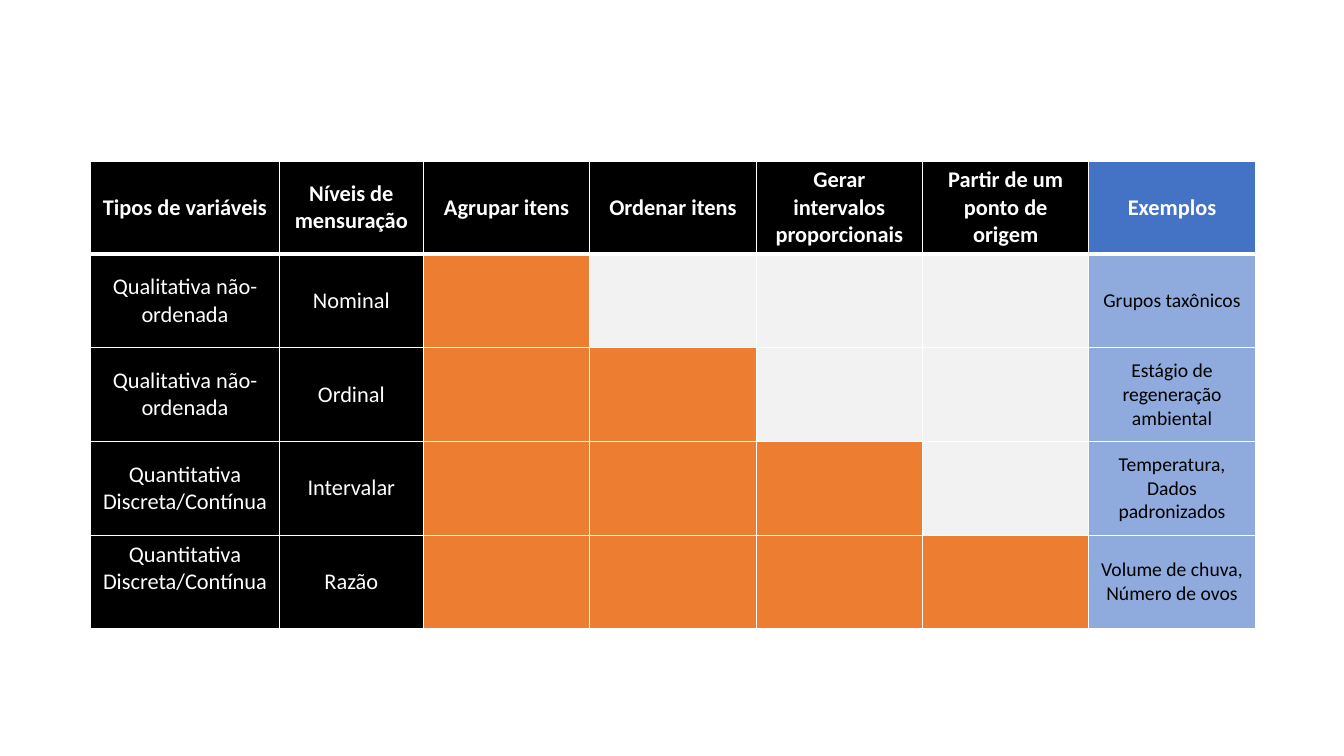
from dataclasses import dataclass

from lxml.etree import SubElement
from pptx import Presentation
from pptx.dml.color import RGBColor as Rgb
from pptx.enum.text import MSO_ANCHOR as Anchor, PP_ALIGN as Align
from pptx.oxml.ns import qn
from pptx.table import _Cell as Cell
from pptx.util import Inches, Pt


@dataclass(frozen=True)
class Theme:
    font: str = "Calibri"
    label_size: int = 16
    example_size: int = 14
    white: str = "FFFFFF"
    black: str = "000000"
    allowed: str = "ED7D31"
    not_allowed: str = "F2F2F2"
    example_header: str = "4472C4"
    example_fill: str = "8FAADC"
    thin_border: int = 1
    header_border: int = 3


@dataclass(frozen=True)
class Level:
    variable: str
    name: str
    example: str
    bottom_margin: float = 0.05


THEME = Theme()
HEADERS = [
    "Tipos de variáveis",
    "Níveis de mensuração",
    "Agrupar itens",
    "Ordenar itens",
    "Gerar intervalos proporcionais",
    "Partir de um ponto de origem",
    "Exemplos",
]
LEVELS = [
    Level("Qualitativa não-ordenada", "Nominal", "Grupos taxônicos"),
    Level("Qualitativa não-ordenada", "Ordinal", "Estágio de regeneração ambiental"),
    Level("Quantitativa Discreta/Contínua", "Intervalar", "Temperatura, Dados padronizados"),
    Level("Quantitativa Discreta/Contínua", "Razão", "Volume de chuva, Número de ovos", 0.32),
]
COLUMN_WIDTHS = [1.87, 1.43] + [1.65] * 5
ROW_HEIGHTS = [0.92] + [0.93] * len(LEVELS)
FIRST_OPERATION, EXAMPLE_COLUMN = 2, len(HEADERS) - 1


def paint_cell(cell: Cell, fill: str, top: int, bottom: int) -> None:
    properties = cell._tc.get_or_add_tcPr()
    side_widths = {"L": THEME.thin_border, "R": THEME.thin_border, "T": top, "B": bottom}
    for side, width in side_widths.items():
        border = SubElement(properties, qn(f"a:ln{side}"), w=str(Pt(width)))
        border_fill = SubElement(border, qn("a:solidFill"))
        SubElement(border_fill, qn("a:srgbClr"), val=THEME.white)
    cell.fill.solid()
    cell.fill.fore_color.rgb = Rgb.from_string(fill)


def write_cell(cell: Cell, text: str, size: int, color: str, bold: bool = False) -> None:
    cell.vertical_anchor = Anchor.MIDDLE
    paragraph = cell.text_frame.paragraphs[0]
    paragraph.alignment = Align.CENTER
    run = paragraph.add_run()
    run.text = text
    run.font.name = THEME.font
    run.font.size = Pt(size)
    run.font.bold = bold
    run.font.color.rgb = Rgb.from_string(color)


def main() -> None:
    deck = Presentation()
    deck.slide_width, deck.slide_height = Inches(13.33), Inches(7.5)
    slide = deck.slides.add_slide(deck.slide_layouts[6])
    measurement = slide.shapes.add_table(
        len(ROW_HEIGHTS), len(HEADERS), Inches(0.9), Inches(1.6),
        Inches(sum(COLUMN_WIDTHS)), Inches(sum(ROW_HEIGHTS)),
    ).table
    for column, width in zip(measurement.columns, COLUMN_WIDTHS):
        column.width = Inches(width)
    for row, height in zip(measurement.rows, ROW_HEIGHTS):
        row.height = Inches(height)

    for column, header in enumerate(HEADERS):
        cell = measurement.cell(0, column)
        fill = THEME.example_header if column == EXAMPLE_COLUMN else THEME.black
        paint_cell(cell, fill, THEME.thin_border, THEME.header_border)
        write_cell(cell, header, THEME.label_size, THEME.white, bold=True)

    for rank, level in enumerate(LEVELS, start=1):
        top = THEME.header_border if rank == 1 else THEME.thin_border
        for column, label in enumerate((level.variable, level.name)):
            cell = measurement.cell(rank, column)
            paint_cell(cell, THEME.black, top, THEME.thin_border)
            write_cell(cell, label, THEME.label_size, THEME.white)
        measurement.cell(rank, 0).margin_bottom = Inches(level.bottom_margin)
        for column in range(FIRST_OPERATION, EXAMPLE_COLUMN):
            is_allowed = column < FIRST_OPERATION + rank
            fill = THEME.allowed if is_allowed else THEME.not_allowed
            paint_cell(measurement.cell(rank, column), fill, top, THEME.thin_border)
        example = measurement.cell(rank, EXAMPLE_COLUMN)
        paint_cell(example, THEME.example_fill, top, THEME.thin_border)
        write_cell(example, level.example, THEME.example_size, THEME.black)

    deck.save("out.pptx")


if __name__ == "__main__":
    main()
